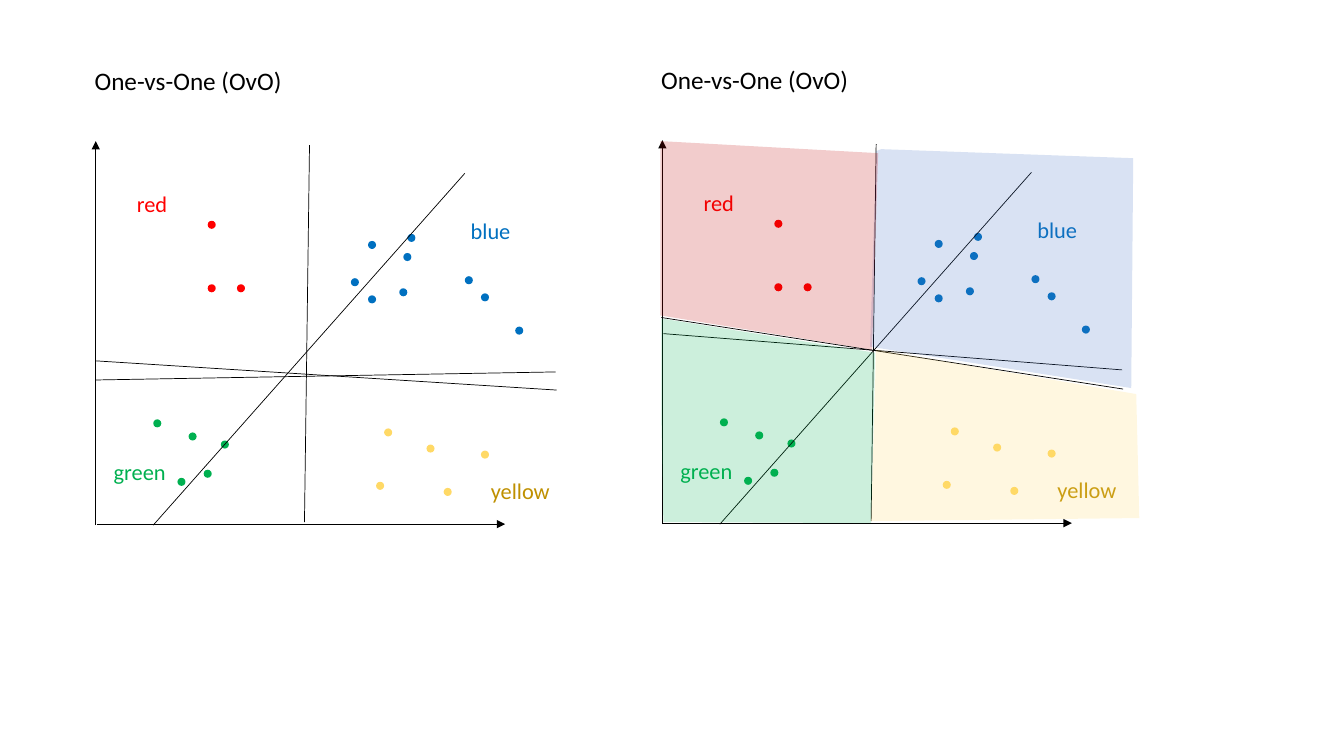
import pptx
import pptx.util
import pptx.dml.color
import pptx.enum.shapes
import pptx.enum.text
import pptx.oxml
import pptx.oxml.ns
import lxml.etree

Inches = pptx.util.Inches
Pt = pptx.util.Pt
RGBColor = pptx.dml.color.RGBColor
qn = pptx.oxml.ns.qn

BLACK = RGBColor(0x00, 0x00, 0x00)
RED = RGBColor(0xFF, 0x00, 0x00)
GREEN = RGBColor(0x00, 0xB0, 0x50)
BLUE = RGBColor(0x00, 0x70, 0xC0)
YELLOW = RGBColor(0xFF, 0xD9, 0x66)
DARK_YELLOW = RGBColor(0xBF, 0x90, 0x00)
AREA_BLUE = RGBColor(0x44, 0x72, 0xC4)
AREA_RED = RGBColor(0xC0, 0x00, 0x00)


class Plot:
    """Draws on one slide, shifted by the offset of the current panel."""
    font = "Calibri"
    dot_size = 0.08
    line_width = Pt(0.5)

    def __init__(self, s):
        self.s = s
        self.dx = self.dy = 0

    def at(self, x, y):
        return Inches(x + self.dx), Inches(y + self.dy)

    def line(self, start, end, arrow=False, parent=None):
        shapes = (parent or self.s).shapes
        sp = shapes.add_connector(pptx.enum.shapes.MSO_CONNECTOR.STRAIGHT,
                                  *self.at(*start), *self.at(*end))
        sp.line.color.rgb = BLACK
        sp.line.width = self.line_width
        if arrow:
            ln = sp.line._get_or_add_ln()
            lxml.etree.SubElement(ln, qn("a:tailEnd"), type="triangle")
        lxml.etree.SubElement(sp._element.spPr, qn("a:effectLst"))

    def axes(self, x_axis, y_axis):
        group = self.s.shapes.add_group_shape()
        for start, end in (x_axis, y_axis):
            self.line(start, end, arrow=True, parent=group)

    def fill(self, sp, color):
        sp.shadow.inherit = False
        sp.fill.solid()
        sp.fill.fore_color.rgb = color
        sp.line.fill.background()

    def dot(self, x, y, color):
        size = Inches(self.dot_size)
        sp = self.s.shapes.add_shape(pptx.enum.shapes.MSO_SHAPE.OVAL,
                                     *self.at(x, y), size, size)
        self.fill(sp, color)

    def text(self, text, x, y, w, h, size, color):
        sp = self.s.shapes.add_textbox(*self.at(x, y), Inches(w), Inches(h))
        tf = sp.text_frame
        tf.word_wrap = True
        tf.auto_size = pptx.enum.text.MSO_AUTO_SIZE.SHAPE_TO_FIT_TEXT
        p = tf.paragraphs[0]
        p.text = text
        p.font.name = self.font
        p.font.size = Pt(size)
        p.font.color.rgb = color

    def area(self, points, color, alpha=20):
        first, *rest = [(Inches(x), Inches(y)) for x, y in points]
        builder = self.s.shapes.build_freeform(*first)
        builder.add_line_segments(rest, close=True)
        sp = builder.convert_to_shape()
        self.fill(sp, color)
        rgb = sp._element.spPr.find(qn("a:solidFill"))[0]
        lxml.etree.SubElement(rgb, qn("a:alpha"), val=str(alpha * 1000))


# Data points of each class, in the coordinates of the left panel
DOTS = {
    GREEN: [(1.52, 4.16), (1.87, 4.29), (1.76, 4.74), (2.02, 4.66), (2.19, 4.37)],
    RED: [(2.35, 2.82), (2.06, 2.82), (2.06, 2.19)],
    BLUE: [(4, 2.51), (3.65, 2.39), (3.96, 2.86), (4.04, 2.32), (3.48, 2.76),
           (3.65, 2.93), (4.61, 2.74), (4.77, 2.91), (5.11, 3.24)],
    YELLOW: [(3.81, 4.25), (4.77, 4.47), (4.23, 4.41), (3.73, 4.78), (4.4, 4.84)],
}
LABELS = [("blue", 4.57, 2.11, BLUE), ("red", 1.26, 1.84, RED),
          ("green", 1.03, 4.5, GREEN), ("yellow", 4.77, 4.68, DARK_YELLOW)]

# Boundaries shared by both panels, then those that differ
SHARED_LINES = [((3.07, 1.44), (3.02, 5.18)), ((1.52, 5.21), (4.61, 1.72))]
PANELS = [
    (0, 0, [((0.95, 3.58), (5.52, 3.87)), ((0.95, 3.77), (5.51, 3.69))]),
    (5.62, -0.01, [((0.94, 3.16), (5.52, 3.87)), ((0.96, 3.32), (5.51, 3.68))]),
]

# Decision regions of the right panel, in slide coordinates
AREAS = [
    (AREA_BLUE, [(8.69, 1.5), (8.63, 3.44), (11.22, 3.85), (11.24, 1.57), (8.74, 1.48)]),
    (AREA_RED, [(8.71, 1.52), (6.55, 1.4), (6.55, 3.13), (8.65, 3.47)]),
    (GREEN, [(6.58, 5.18), (8.64, 5.19), (8.68, 3.5), (6.56, 3.16), (6.56, 4.17)]),
    (YELLOW, [(11.3, 5.14), (11.27, 3.91), (8.69, 3.47), (8.64, 5.17)]),
]

prs = pptx.Presentation()
prs.slide_width = Inches(13.33)
prs.slide_height = Inches(7.5)
plot = Plot(prs.slides.add_slide(prs.slide_layouts[6]))

# Both panels
for plot.dx, plot.dy, lines in PANELS:
    plot.axes(((0.96, 5.2), (5.01, 5.2)), ((0.95, 5.21), (0.95, 1.4)))
    for color, dots in DOTS.items():
        for x, y in dots:
            plot.dot(x, y, color)
    for start, end in SHARED_LINES + lines:
        plot.line(start, end)
    for label, x, y, color in LABELS:
        plot.text(label, x, y, 2.46, 0.37, 16, color)
    plot.text("One-vs-One (OvO)", 0.84, 0.6, 3.17, 0.4, 18, BLACK)

# Tinted regions over the right panel
for color, points in AREAS:
    plot.area(points, color)

prs.save("out.pptx")
